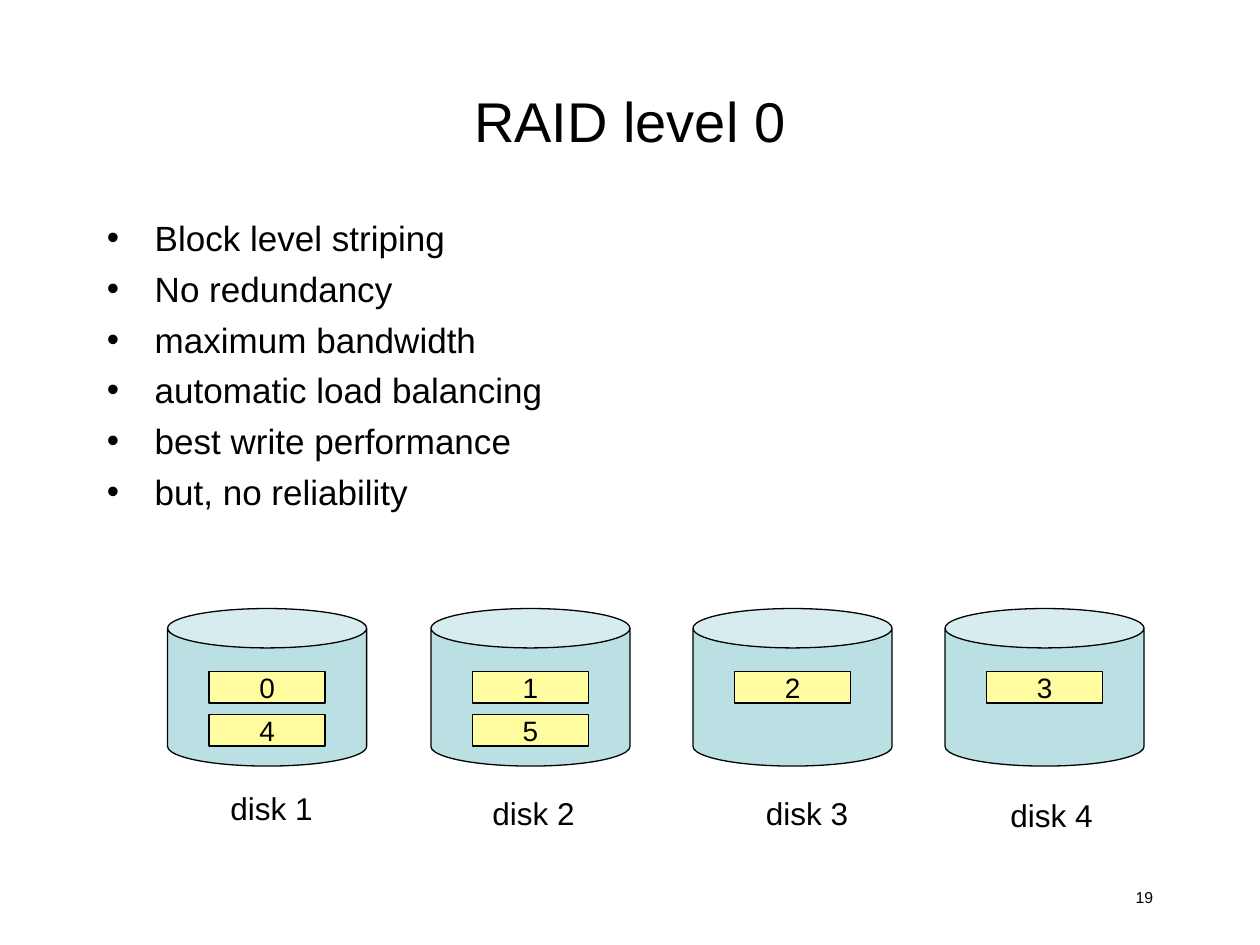
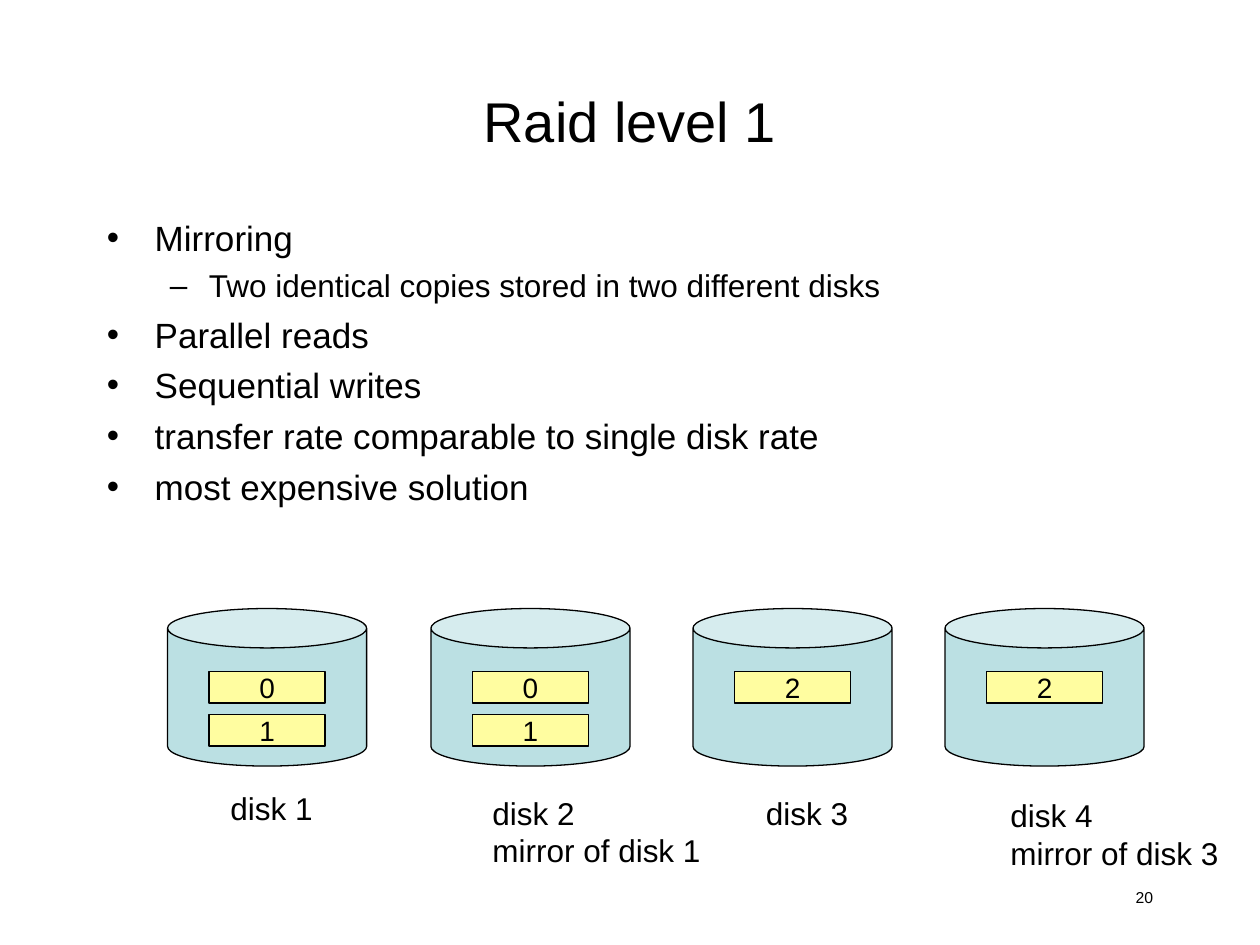
"""Build two slides that compare RAID level 0 with RAID level 1."""
from lxml import etree
from pptx import Presentation
from pptx.dml.color import RGBColor
from pptx.enum.shapes import MSO_SHAPE
from pptx.enum.text import MSO_ANCHOR, MSO_AUTO_SIZE, PP_ALIGN
from pptx.oxml.ns import qn
from pptx.util import Inches, Pt

CAN, RECTANGLE = MSO_SHAPE.CAN, MSO_SHAPE.RECTANGLE
LEFT, CENTER, RIGHT = PP_ALIGN.LEFT, PP_ALIGN.CENTER, PP_ALIGN.RIGHT
MIDDLE = MSO_ANCHOR.MIDDLE
GROW = MSO_AUTO_SIZE.SHAPE_TO_FIT_TEXT

BLACK = RGBColor(0x00, 0x00, 0x00)
DISK_BLUE = RGBColor(0xBB, 0xE0, 0xE3)
BLOCK_YELLOW = RGBColor(0xFF, 0xFD, 0xA0)
FONT = "Arial"

DISK_LEFTS = [1.33, 3.42, 5.5, 7.5]
LABEL_SPOTS = [(1.73, 6.21), (3.81, 6.25), (5.98, 6.25), (7.92, 6.27)]
BULLET_LEVELS = [("•", 0.38, 0.38, 20, 5), ("–", 0.81, 0.31, 18, 4.5)]

SLIDES = [
    {
        "number": "19",
        "title": "RAID level 0",
        "points": [
            (0, "Block level striping"),
            (0, "No redundancy"),
            (0, "maximum bandwidth"),
            (0, "automatic load balancing"),
            (0, "best write performance"),
            (0, "but, no reliability"),
        ],
        "disks": [
            ("04", ["disk 1"]),
            ("15", ["disk 2"]),
            ("2", ["disk 3"]),
            ("3", ["disk 4"]),
        ],
    },
    {
        "number": "20",
        "title": "Raid level 1",
        "points": [
            (0, "Mirroring"),
            (1, "Two identical copies stored in two different disks"),
            (0, "Parallel reads"),
            (0, "Sequential writes"),
            (0, "transfer rate comparable to single disk rate"),
            (0, "most expensive solution"),
        ],
        "disks": [
            ("01", ["disk 1"]),
            ("01", ["disk 2", "mirror of disk 1"]),
            ("2", ["disk 3"]),
            ("2", ["disk 4", "mirror of disk 3"]),
        ],
    },
]


def write(frame, lines, size, align=LEFT, wrap=True):
    """Fill a text frame with one paragraph per line."""
    frame.word_wrap = wrap
    for index, line in enumerate(lines):
        paragraph = frame.add_paragraph() if index else frame.paragraphs[0]
        paragraph.text = line
        paragraph.alignment = align
        paragraph.font.name = FONT
        paragraph.font.size = Pt(size)
        paragraph.font.color.rgb = BLACK


def add_solid(slide, kind, left, top, width, height, color):
    """Add a preset shape with a flat fill and a thin black outline."""
    solid = slide.shapes.add_shape(kind, Inches(left), Inches(top), Inches(width), Inches(height))
    solid.shadow.inherit = False
    solid.fill.solid()
    solid.fill.fore_color.rgb = color
    solid.line.color.rgb = BLACK
    solid.line.width = Pt(0.75)
    return solid


prs = Presentation()
prs.slide_width, prs.slide_height = Inches(10), Inches(7.5)

for content in SLIDES:
    slide = prs.slides.add_slide(prs.slide_layouts[6])

    number = slide.shapes.add_textbox(Inches(7.17), Inches(7), Inches(2.08), Inches(0.33))
    write(number.text_frame, [content["number"]], 9, RIGHT)

    title = slide.shapes.add_textbox(Inches(0.75), Inches(0.33), Inches(8.5), Inches(1.25))
    title.text_frame.vertical_anchor = MIDDLE
    write(title.text_frame, [content["title"]], 32, CENTER)

    points = slide.shapes.add_textbox(Inches(0.75), Inches(1.67), Inches(8.5), Inches(5.17))
    points.text_frame.word_wrap = True
    for index, (level, text) in enumerate(content["points"]):
        mark, margin, hanging, size, space = BULLET_LEVELS[level]
        point = points.text_frame.add_paragraph() if index else points.text_frame.paragraphs[0]
        point.text = text
        point.level = level
        properties = point._p.get_or_add_pPr()
        properties.set("marL", str(Inches(margin)))
        properties.set("indent", str(-Inches(hanging)))
        mark_color = etree.SubElement(properties, qn("a:buClr"))
        etree.SubElement(mark_color, qn("a:srgbClr"), val=str(BLACK))
        etree.SubElement(properties, qn("a:buFont"), typeface=FONT)
        etree.SubElement(properties, qn("a:buChar"), char=mark)
        if index:
            point.space_before = Pt(space)
        point.font.name = FONT
        point.font.size = Pt(size)
        point.font.color.rgb = BLACK

    for left in DISK_LEFTS:
        disk = add_solid(slide, CAN, left, 4.83, 1.58, 1.25, DISK_BLUE)
        disk.adjustments[0] = 0.25

    for left, (blocks, _) in zip(DISK_LEFTS, content["disks"]):
        for row, block_number in enumerate(blocks):
            block = add_solid(slide, RECTANGLE, left + 0.33, 5.33 + 0.34 * row, 0.92, 0.25, BLOCK_YELLOW)
            block.text_frame.vertical_anchor = MIDDLE
            write(block.text_frame, [block_number], 16, CENTER, wrap=False)

    for (left, top), (_, lines) in zip(LABEL_SPOTS, content["disks"]):
        mirrored = len(lines) > 1
        width, height = (1.85, 0.7) if mirrored else (0.85, 0.4)
        label = slide.shapes.add_textbox(Inches(left), Inches(top), Inches(width), Inches(height))
        label.text_frame.auto_size = GROW
        write(label.text_frame, lines, 18, wrap=False)

prs.save("out.pptx")
